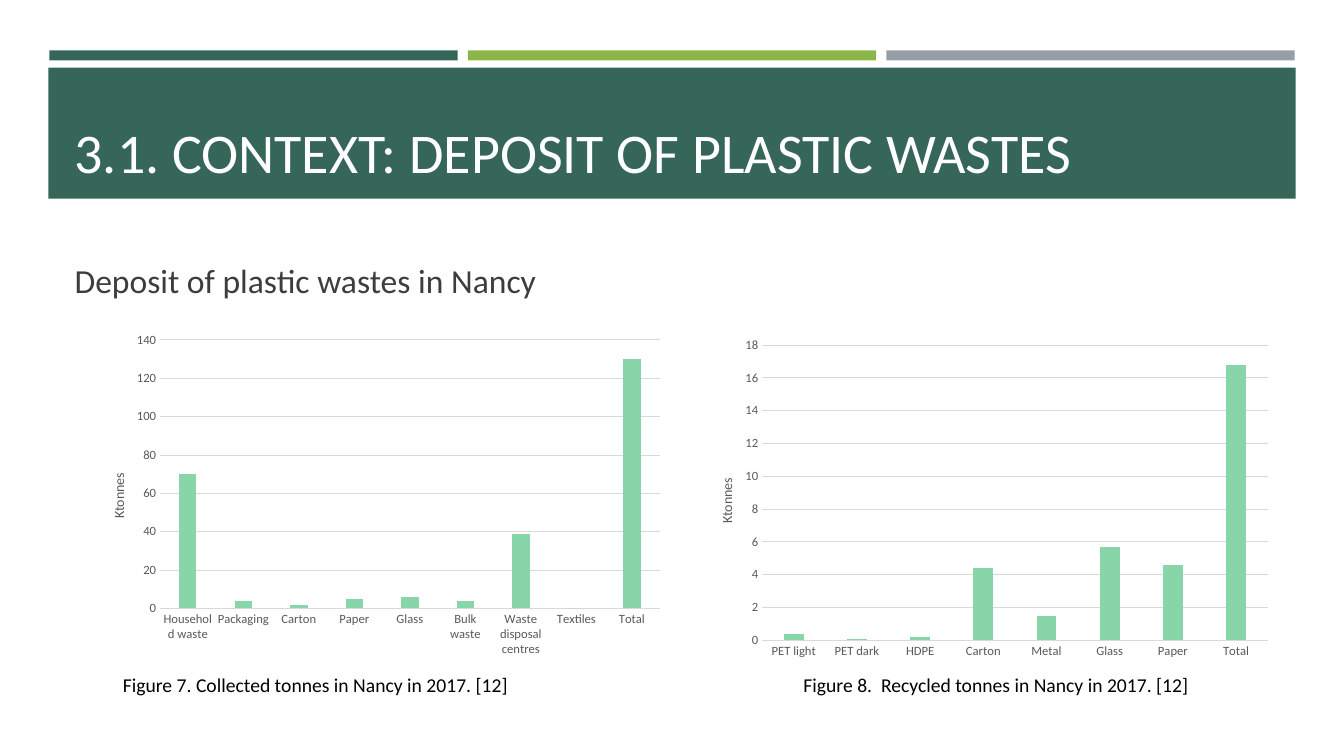
from dataclasses import dataclass

from lxml.etree import SubElement
from pptx import Presentation
from pptx.chart.data import CategoryChartData
from pptx.dml.color import RGBColor
from pptx.enum.chart import XL_CHART_TYPE, XL_TICK_MARK
from pptx.enum.shapes import MSO_SHAPE
from pptx.enum.text import MSO_ANCHOR, MSO_AUTO_SIZE, PP_ALIGN
from pptx.oxml import parse_xml
from pptx.oxml.ns import nsdecls, qn
from pptx.util import Pt

PX = 9144  # EMU in one px, 100 px to the inch


@dataclass(frozen=True)
class Theme:
    font: str = "Calibri"
    green: str = "366658"
    lime: str = "8CB64A"
    gray: str = "969FA7"
    mint: str = "88D5A9"
    grid: str = "D9D9D9"
    axis: str = "595959"
    body: str = "3D3D3D"
    black: str = "000000"
    white: str = "FFFFFF"
    title_size: int = 40
    body_size: int = 24
    caption_size: int = 14
    chart_size: int = 10
    tick_size: int = 9


def rgb(color):
    return RGBColor.from_string(color)


def set_layout(parent, index, target="", **fractions):
    """Place a chart part by fractions of the chart area."""
    for old in parent.findall(qn("c:layout")):
        parent.remove(old)
    layout = parse_xml(f"<c:layout {nsdecls('c')}><c:manualLayout/></c:layout>")
    manual = layout[0]
    values = {"layoutTarget": target} if target else {}
    values |= {"xMode": "edge", "yMode": "edge"} | fractions
    for name, value in values.items():
        SubElement(manual, qn(f"c:{name}")).set("val", str(value))
    parent.insert(index, layout)


class SlideBuilder:
    def __init__(self, prs, theme):
        self.theme = theme
        self.s = prs.slides.add_slide(prs.slide_layouts[1])

    def style(self, font, size, color):
        font.name, font.size, font.bold = self.theme.font, Pt(size), False
        font.color.rgb = rgb(color)

    def bar(self, x, y, w, h, color):
        sp = self.s.shapes.add_shape(MSO_SHAPE.RECTANGLE, x * PX, y * PX, w * PX, h * PX)
        sp.shadow.inherit = False
        sp.fill.solid()
        sp.fill.fore_color.rgb = rgb(color)
        sp.line.fill.background()

    def add_text(self, sp, text, size, color):
        tf = sp.text_frame
        tf.word_wrap = True
        p = tf.paragraphs[0]
        p.alignment = PP_ALIGN.LEFT
        r = p.add_run()
        r.text = text
        self.style(r.font, size, color)
        return p

    def placeholder(self, index, box, text, size, color, anchor):
        sp = self.s.placeholders[index]
        sp.left, sp.top, sp.width, sp.height = (v * PX for v in box)
        self.s.shapes._spTree.append(sp._element)  # in front of the band
        sp.text_frame.auto_size = MSO_AUTO_SIZE.NONE
        sp.text_frame.vertical_anchor = anchor
        return sp, self.add_text(sp, text, size, color)

    def title(self, box, text):
        t = self.theme
        self.placeholder(0, box, text, t.title_size, t.white, MSO_ANCHOR.BOTTOM)

    def body(self, box, text):
        t = self.theme
        sp, p = self.placeholder(1, box, text, t.body_size, t.body, MSO_ANCHOR.TOP)
        sp.text_frame.margin_top = 20 * PX
        p.space_before, p.space_after = Pt(0), Pt(6)
        pPr = p._p.get_or_add_pPr()
        pPr.set("marL", "0")
        pPr.set("indent", "0")
        SubElement(pPr, qn("a:buNone"))

    def caption(self, x, y, w, h, text):
        sp = self.s.shapes.add_textbox(x * PX, y * PX, w * PX, h * PX)
        self.add_text(sp, text, self.theme.caption_size, self.theme.black)

    def columns(self, x, y, w, h, values, top, step, plot):
        t = self.theme
        data = CategoryChartData()
        data.categories = list(values)
        data.add_series("Series 1", list(values.values()))
        chart = self.s.shapes.add_chart(
            XL_CHART_TYPE.COLUMN_CLUSTERED, x * PX, y * PX, w * PX, h * PX, data).chart
        chart.has_legend = chart.has_title = False
        self.style(chart.font, t.chart_size, t.black)

        # Columns
        bars = chart.plots[0]
        bars.gap_width, bars.overlap, bars.vary_by_categories = 219, -27, False
        fill = bars.series[0].format.fill
        fill.solid()
        fill.fore_color.rgb = rgb(t.mint)

        # Axes and gridlines
        cat, val = chart.category_axis, chart.value_axis
        for axis in (cat, val):
            axis.major_tick_mark = axis.minor_tick_mark = XL_TICK_MARK.NONE
            self.style(axis.tick_labels.font, t.tick_size, t.axis)
        val.minimum_scale, val.maximum_scale, val.major_unit = 0, top, step
        val.format.line.fill.background()
        for line in (cat.format.line, val.major_gridlines.format.line):
            line.color.rgb, line.width = rgb(t.grid), Pt(0.75)

        # Unit beside the value axis
        r = val.axis_title.text_frame.paragraphs[0].add_run()
        r.text = "Ktonnes"
        self.style(r.font, t.chart_size, t.axis)
        set_layout(val.axis_title._element, 1, x=0.04, y=0.43)
        set_layout(chart._chartSpace.chart.plotArea, 0, "inner", **plot)


COLLECTED = {"Household waste": 70, "Packaging": 4, "Carton": 2, "Paper": 5, "Glass": 6,
             "Bulk waste": 4, "Waste disposal centres": 39, "Textiles": 0, "Total": 130}
RECYCLED = {"PET light": 0.4, "PET dark": 0.1, "HDPE": 0.2, "Carton": 4.4,
            "Metal": 1.5, "Glass": 5.7, "Paper": 4.6, "Total": 16.8}


def main():
    prs = Presentation()
    prs.slide_width, prs.slide_height = 1333 * PX, 750 * PX
    theme = Theme()
    b = SlideBuilder(prs, theme)

    # Header: three strips over the title band
    for i, color in enumerate((theme.green, theme.lime, theme.gray)):
        b.bar(49 + 415 * i, 50, 405, 10, color)
    b.bar(48, 67, 1237, 130, theme.green)
    b.title((64, 77, 1206, 111), "3.1. CONTEXT: DEPOSIT OF PLASTIC WASTES")

    # Lead line
    b.body((64, 238, 1206, 453), "Deposit of plastic wastes in Nancy")

    # Charts with their captions
    b.columns(83, 324, 583, 333, COLLECTED, 140, 20, dict(x=0.13, y=0.04, w=0.85, h=0.8))
    b.columns(686, 329, 583, 333, RECYCLED, 18, 2, dict(x=0.12, y=0.04, w=0.86, h=0.88))
    b.caption(112, 663, 545, 34, "Figure 7. Collected tonnes in Nancy in 2017. [12]")
    b.caption(787, 663, 422, 34, "Figure 8.  Recycled tonnes in Nancy in 2017. [12]")

    prs.save("out.pptx")


if __name__ == "__main__":
    main()
